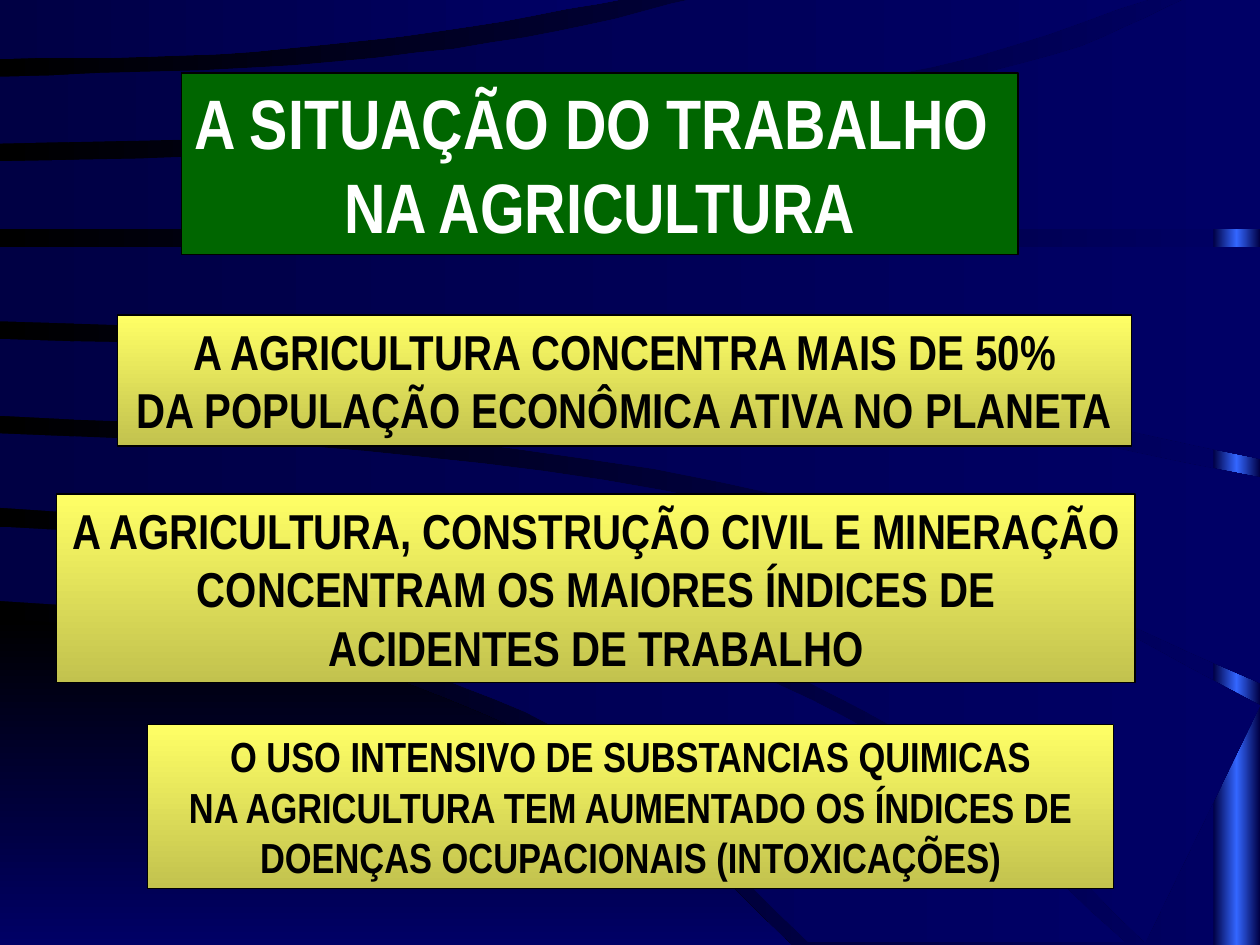
from copy import deepcopy

from pptx import Presentation
from pptx import util as u
from pptx.dml import color
from pptx.enum import shapes, text

SCALE = 9144
WIDTH, HEIGHT = 1000, 750
TOP, BOTTOM = -2, 748
STEPS = 6
NIGHT, NAVY, BLACK = "000044", "000066", "000000"
YELLOW = [(0, "FFFF66"), (1, "C2C24E")]

HILL = [
    [(-1, 491), (165, 505), (327, 544), (495, 627), (628, HEIGHT)],
    [(-1, HEIGHT)],
]
BANDS = [
    [[(0, 418), (206, 431), (382, 463), (561, 520), (727, 603), (893, BOTTOM)],
     [(642, BOTTOM), (492, 608), (342, 535), (185, 493), (0, 477)]],
    [[(0, 344), (289, 358), (570, 398), (818, 468), (WIDTH, 560)],
     [(909, BOTTOM), (756, 606), (521, 489), (267, 425), (0, 403)]],
    [[(0, 269), (349, 281), (662, 313), (WIDTH, 379)],
     [(WIDTH, 542), (683, 410), (351, 349), (0, 330)]],
    [[(0, 196), (WIDTH, 196)],
     [(WIDTH, 364), (702, 303), (389, 269), (0, 255)]],
    [[(0, 128), (329, 118), (644, 85), (835, 44), (943, TOP)],
     [(WIDTH, TOP)], [(WIDTH, 182), (0, 182)]],
    [[(0, 61), (233, 52), (416, 30), (556, TOP)],
     [(917, TOP), (741, 53), (504, 89), (270, 107), (0, 114)]],
    [[(0, TOP)], [(501, TOP), (346, 25), (173, 43), (0, 47)]],
]

TITLE = "A SITUAÇÃO DO TRABALHO \vNA AGRICULTURA"
STATEMENTS = [
    ((93, 250, 805, 104), 28, False,
     "A AGRICULTURA CONCENTRA MAIS DE 50%\n"
     "DA POPULAÇÃO ECONÔMICA ATIVA NO PLANETA"),
    ((45, 392, 856, 150), 28, False,
     "A AGRICULTURA, CONSTRUÇÃO CIVIL E MINERAÇÃO\v"
     "CONCENTRAM OS MAIORES ÍNDICES DE\nACIDENTES DE TRABALHO"),
    ((117, 575, 767, 130), 24, True,
     "O USO INTENSIVO DE SUBSTANCIAS QUIMICAS\v"
     "NA AGRICULTURA TEM AUMENTADO OS ÍNDICES DE "
     "DOENÇAS OCUPACIONAIS (INTOXICAÇÕES)"),
]


def px(*values):
    return [value * SCALE for value in values]


def rgb(value):
    return color.RGBColor.from_string(value)


def apply(target, values):
    for name, value in values.items():
        setattr(target, name, value)


def spline(a, b, c, d, t):
    return b + t * (c - a + t * (2 * a - 5 * b + 4 * c - d + t * (3 * (b - c) + d - a))) / 2


def beyond(end, neighbour):
    return tuple(2 * e - n for e, n in zip(end, neighbour))


def smooth(knots):
    if len(knots) < 3:
        return knots
    padded = [beyond(*knots[:2]), *knots, beyond(knots[-1], knots[-2])]
    points = [
        tuple(round(spline(*axis, step / STEPS)) for axis in zip(*padded[i:i + 4]))
        for i in range(len(knots) - 1)
        for step in range(STEPS)
    ]
    return points + knots[-1:]


class Painter:
    font = {"name": "Arial Narrow", "bold": True}
    frame = {
        "auto_size": text.MSO_AUTO_SIZE.SHAPE_TO_FIT_TEXT,
        "vertical_anchor": text.MSO_ANCHOR.TOP,
    }

    def __init__(self, slide):
        self.slide = slide

    def gradient(self, fill, stops, angle=0):
        fill.gradient()
        fill.gradient_angle = angle
        first = fill.gradient_stops[0]._gs
        for _ in stops[2:]:
            first.addnext(deepcopy(first))
        for stop, (position, value) in zip(fill.gradient_stops, stops):
            stop.position = position
            stop.color.rgb = rgb(value)

    def background(self, stops):
        self.gradient(self.slide.background.fill, stops)

    def rectangle(self, box):
        shape = self.slide.shapes.add_shape(shapes.MSO_SHAPE.RECTANGLE, *px(*box))
        shape.shadow.inherit = False
        return shape

    def stripe(self, box, stops):
        shape = self.rectangle(box)
        self.gradient(shape.fill, stops)
        shape.line.fill.background()

    def outline(self, edges, stops, angle=0):
        points = [point for edge in edges for point in smooth(edge)]
        builder = self.slide.shapes.build_freeform(*points[0], scale=SCALE)
        builder.add_line_segments(points[1:], close=True)
        shape = builder.convert_to_shape()
        shape.shadow.inherit = False
        self.gradient(shape.fill, stops, angle)
        shape.line.fill.background()

    def panel(self, box, words, size, ink, fill, wrap=False):
        shape = self.rectangle(box)
        if isinstance(fill, str):
            shape.fill.solid()
            shape.fill.fore_color.rgb = rgb(fill)
        else:
            self.gradient(shape.fill, fill, 270)
        shape.line.color.rgb = rgb(BLACK)
        shape.line.width = u.Pt(0.75)
        frame = shape.text_frame
        apply(frame, {**self.frame, "word_wrap": wrap})
        frame.text = words
        for paragraph in frame.paragraphs:
            paragraph.alignment = text.PP_ALIGN.CENTER
            for run in paragraph.runs:
                apply(run.font, {**self.font, "size": u.Pt(size)})
                run.font.color.rgb = rgb(ink)


def main():
    presentation = Presentation()
    presentation.slide_width, presentation.slide_height = px(WIDTH, HEIGHT)
    painter = Painter(presentation.slides.add_slide(presentation.slide_layouts[6]))
    dusk = [(0, BLACK), (1, NAVY)]
    painter.background(dusk)
    painter.stripe((963, 0, 37, HEIGHT), [(0, NIGHT), (0.5, "3366FF"), (1, NIGHT)])
    painter.outline(HILL, dusk, 270)
    for edges in BANDS:
        painter.outline(edges, [(0, NIGHT), (1, NAVY)])
    painter.panel((144, 58, 664, 144), TITLE, 40, "FFFFFF", "006600")
    for box, size, wrap, words in STATEMENTS:
        painter.panel(box, words, size, BLACK, YELLOW, wrap)
    presentation.save("out.pptx")


if __name__ == "__main__":
    main()
